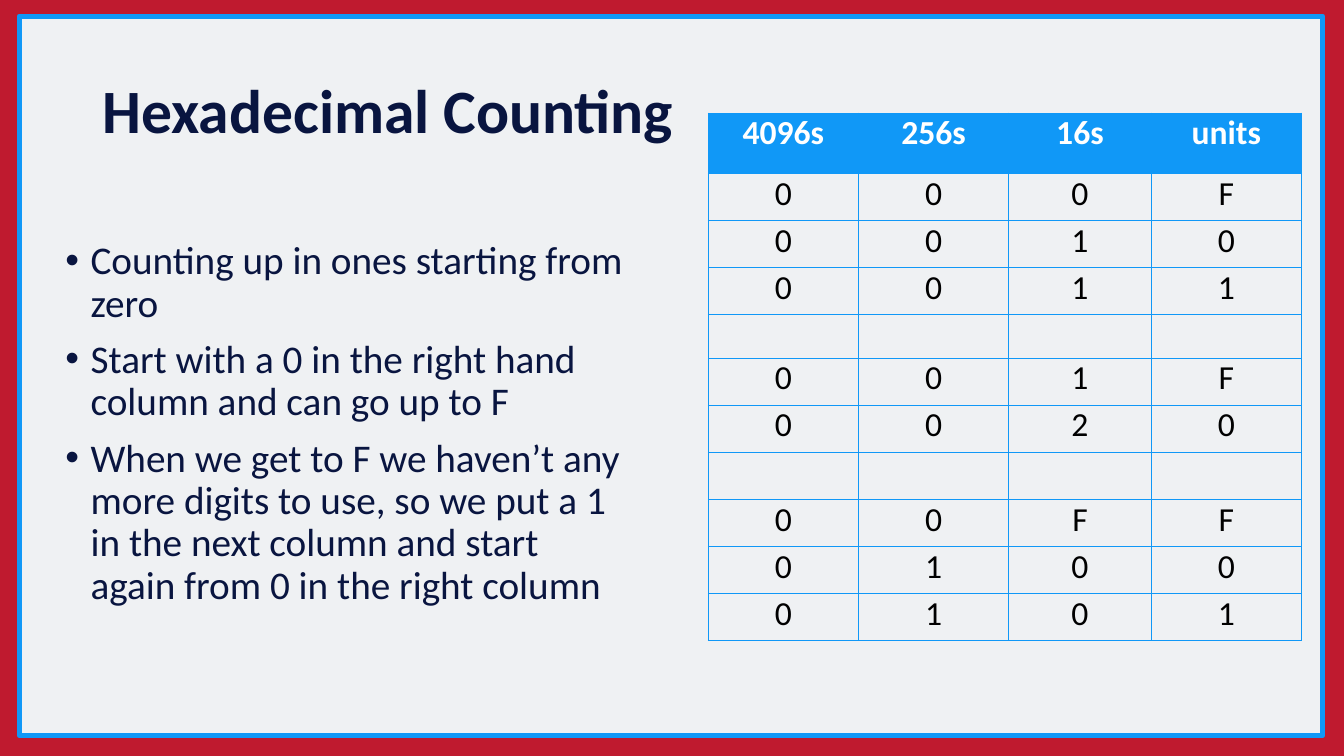
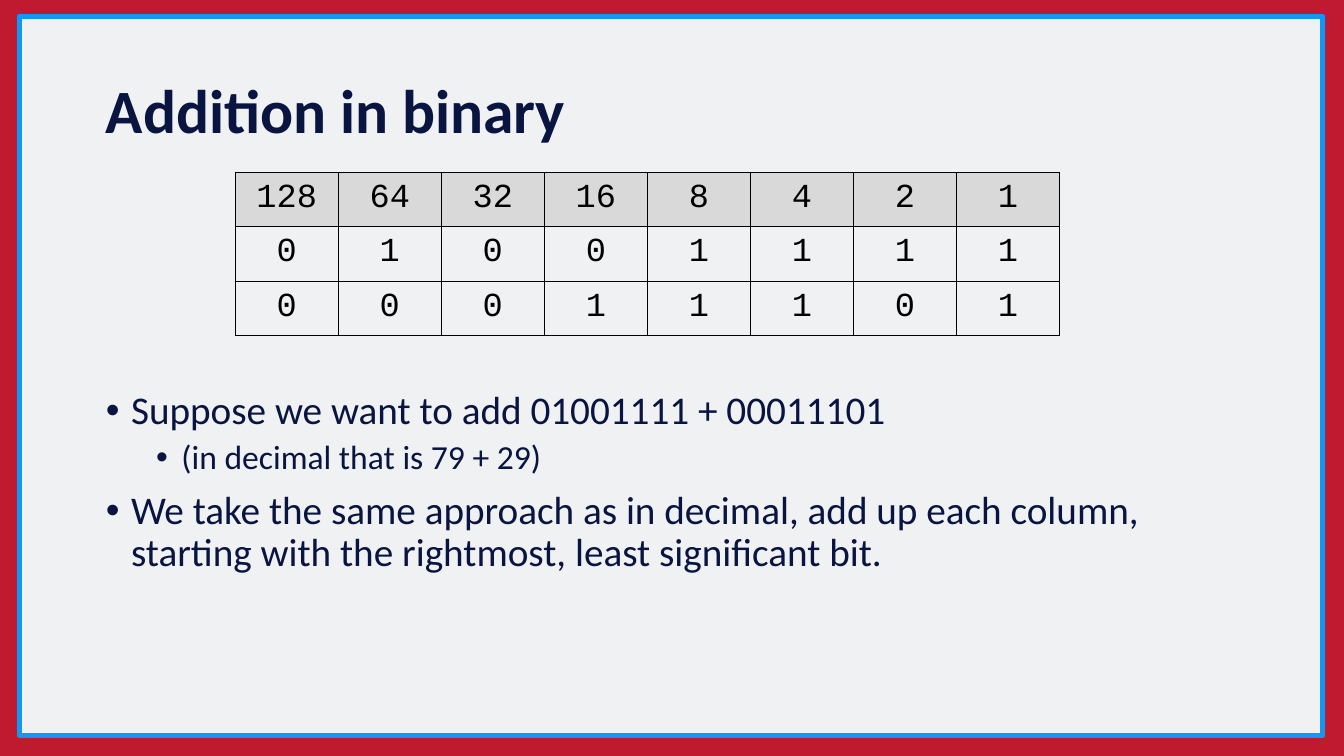
from lxml.etree import SubElement
from pptx import Presentation
from pptx.dml.color import RGBColor
from pptx.enum.shapes import MSO_SHAPE
from pptx.enum.text import MSO_ANCHOR, PP_ALIGN
from pptx.oxml.ns import qn
from pptx.util import Inches, Pt

RED = RGBColor(0xBF, 0x1A, 0x2F)
PAPER = RGBColor(0xEF, 0xF1, 0xF3)
BLUE = RGBColor(0x10, 0x98, 0xF7)
NAVY = RGBColor(0x09, 0x15, 0x40)
GREY = RGBColor(0xD9, 0xD9, 0xD9)
WHITE = RGBColor(0xFF, 0xFF, 0xFF)
BLACK = RGBColor(0, 0, 0)


class Lesson:
    """Holds the deck style and the current page; areas are percentages of the slide."""

    body_font = "Calibri"
    code_font = "Courier New"
    title_area = (6.9, 5.33, 86.25, 19.33)
    bullet_levels = ((28, 10, 0.25), (24, 5, 0.75))  # size, space before, indent

    def __init__(self):
        self.deck = Presentation()
        self.deck.slide_width, self.deck.slide_height = Inches(13.33), Inches(7.5)

    def across(self, percent):
        return round(self.deck.slide_width * percent / 100)

    def down(self, percent):
        return round(self.deck.slide_height * percent / 100)

    def place(self, area):
        left, top, width, height = area
        return self.across(left), self.down(top), self.across(width), self.down(height)

    def style(self, para, size, color, font=body_font, bold=False):
        for span in para.runs:
            span.font.name, span.font.size, span.font.bold = font, Pt(size), bold
            span.font.color.rgb = color

    # Background, framed panel and title
    def add_page(self, title, inset):
        self.page = self.deck.slides.add_slide(self.deck.slide_layouts[6])
        self.page.background.fill.solid()
        self.page.background.fill.fore_color.rgb = RED
        panel = self.page.shapes.add_shape(
            MSO_SHAPE.RECTANGLE, *self.place((1.43, 2.13, 97, 95.2)))
        panel.shadow.inherit = False
        panel.fill.solid()
        panel.fill.fore_color.rgb = PAPER
        panel.line.color.rgb, panel.line.width = BLUE, Pt(3.5)

        frame = self.add_box(self.title_area, inset)
        frame.vertical_anchor = MSO_ANCHOR.MIDDLE
        frame.text = title
        frame.paragraphs[0].line_spacing = 0.9
        self.style(frame.paragraphs[0], 44, NAVY, bold=True)

    def add_box(self, area, inset):
        frame = self.page.shapes.add_textbox(*self.place(area)).text_frame
        frame.word_wrap = True
        frame.margin_left = frame.margin_right = Inches(inset)
        frame.margin_top = frame.margin_bottom = Inches(min(inset, 0.13) if inset > 0.1 else 0.05)
        return frame

    # Bulleted text, given as (level, wording) pairs
    def add_bullets(self, area, inset, items):
        frame = self.add_box(area, inset)
        frame.text = "\n".join(wording for _, wording in items)
        for para, (level, _) in zip(frame.paragraphs, items):
            size, before, indent = self.bullet_levels[level]
            para.level, para.line_spacing, para.space_before = level, 0.9, Pt(before)
            self.style(para, size, NAVY)
            properties = para._p.get_or_add_pPr()
            properties.set("marL", str(Inches(indent)))
            properties.set("indent", str(Inches(-0.25)))
            SubElement(properties, qn("a:buFont")).set("typeface", "Arial")
            SubElement(properties, qn("a:buChar")).set("char", "•")

    def add_border(self, cell, side, color, points):
        line = SubElement(cell._tc.get_or_add_tcPr(), qn(f"a:ln{side}"), w=str(Pt(points)))
        fill = SubElement(line, qn("a:solidFill"))
        SubElement(fill, qn("a:srgbClr"), val=str(color))

    # Ruled table; heavy_edge(row, column, side) picks the thicker lines
    def add_grid(self, corner, widths, heights, rows, header_fill, header_color, border,
                 font=body_font, bold_header=False, inset=0.0, heavy_edge=lambda *edge: False):
        area = (*corner, sum(widths), sum(heights))
        table = self.page.shapes.add_table(
            len(rows), len(widths), *self.place(area)).table
        table.first_row = table.horz_banding = False
        for column, width in zip(table.columns, widths):
            column.width = self.across(width)
        for row, height in zip(table.rows, heights):
            row.height = self.down(height)
        for r, values in enumerate(rows):
            for c, value in enumerate(values):
                cell = table.cell(r, c)
                cell.margin_left = cell.margin_right = Inches(0.07)
                cell.margin_top = cell.margin_bottom = Inches(inset)
                for side in "LRTB":
                    self.add_border(cell, side, border, 1 if heavy_edge(r, c, side) else 0.5)
                if r == 0:
                    cell.fill.solid()
                    cell.fill.fore_color.rgb = header_fill
                else:
                    cell.fill.background()
                cell.text = value
                para = cell.text_frame.paragraphs[0]
                para.alignment = PP_ALIGN.CENTER
                self.style(para, 24, header_color if r == 0 else BLACK,
                           font, bold_header and r == 0)


def binary_heavy_edge(row, column, side):
    header_line = (row == 0 and side in "TB") or (row == 1 and side == "T")
    units_line = (column, side) in ((6, "R"), (7, "L"))
    return header_line or units_line


lesson = Lesson()

# Hexadecimal counting
lesson.add_page("Hexadecimal Counting", inset=0.1)
lesson.add_bullets((4.13, 31.2, 43.1, 63.47), 0.1, [
    (0, "Counting up in ones starting from zero"),
    (0, "Start with a 0 in the right hand column and can go up to F"),
    (0, "When we get to F we haven’t any more digits to use, so we put a 1 "
        "in the next column and start again from 0 in the right column"),
])
GAP = "    "
counts = ["000F", "0010", "0011", GAP, "001F", "0020", GAP, "00FF", "0100", "0101"]
lesson.add_grid(
    (52.7, 14.95), [11.18, 11.18, 10.6, 11.18], [8] + [6.23] * 3 + [5.73] + [6.23] * 6,
    [["4096s", "256s", "16s", "units"]] + [[digit.strip() for digit in count] for count in counts],
    BLUE, WHITE, BLUE, bold_header=True)

# Addition in binary
lesson.add_page("Addition in binary", inset=0.13)
lesson.add_bullets((6.9, 50, 86.25, 40.13), 0.13, [
    (0, "Suppose we want to add 01001111 + 00011101"),
    (1, "(in decimal that is 79 + 29)"),
    (0, "We take the same approach as in decimal, add up each column, "
        "starting with the rightmost, least significant bit."),
])
place_values = [str(2 ** power) for power in range(7, -1, -1)]
lesson.add_grid(
    (17.5, 22.8), [7.67] * 8, [7.17] * 3,
    [place_values, list("01001111"), list("00011101")],
    GREY, BLACK, BLACK, font=Lesson.code_font, inset=0.07, heavy_edge=binary_heavy_edge)

lesson.deck.save("out.pptx")
